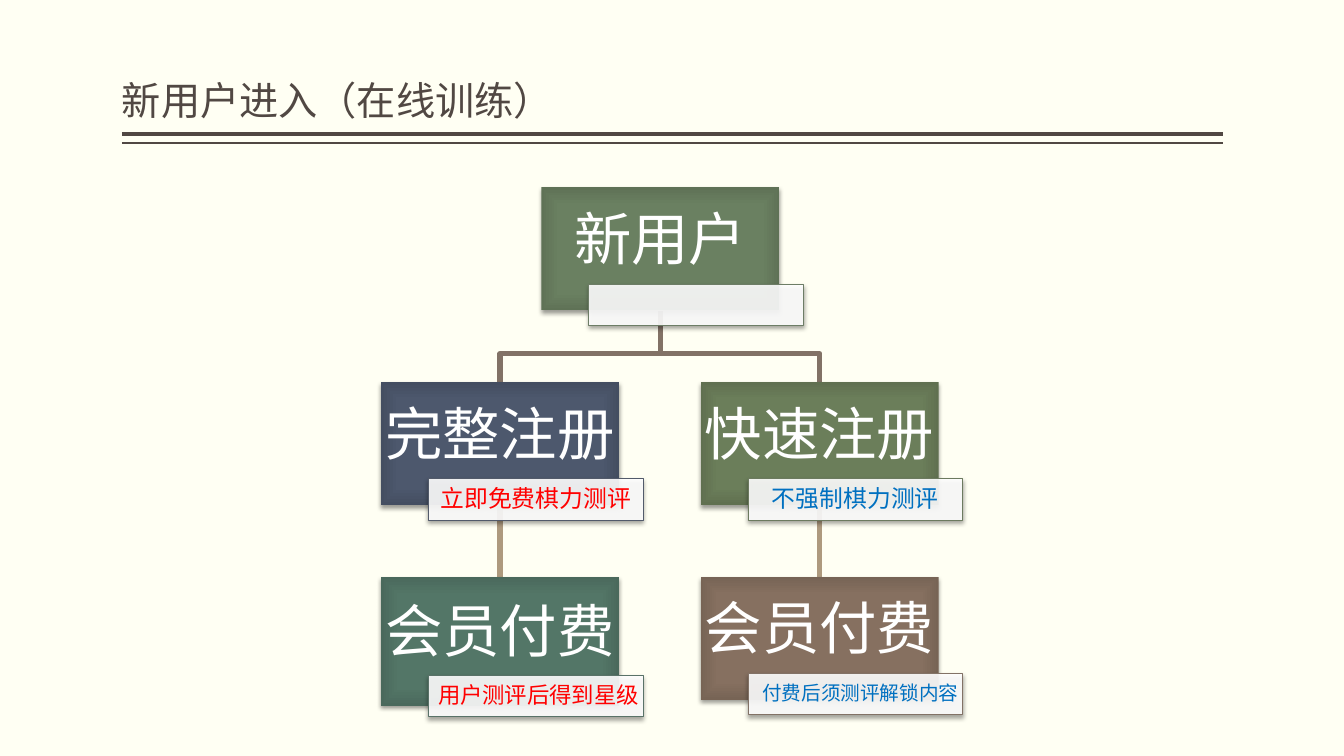
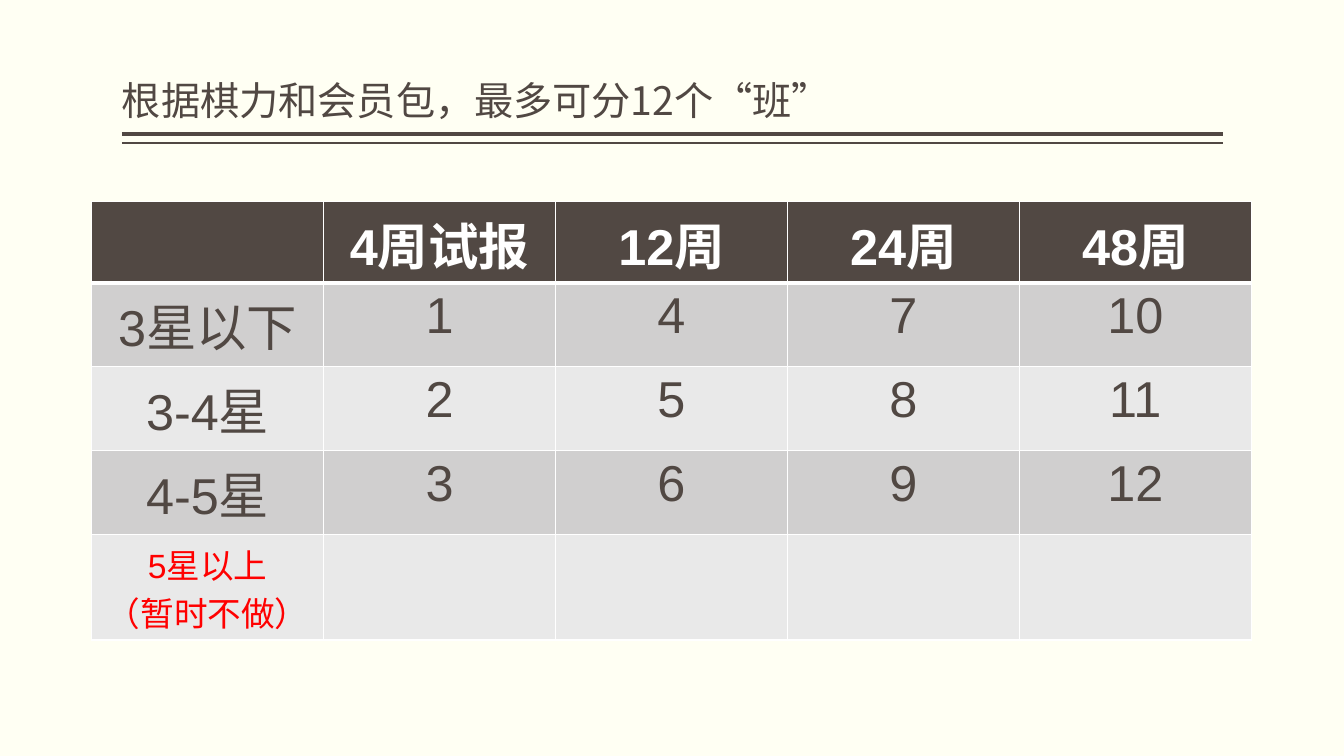
from pptx import Presentation
from pptx.dml.color import RGBColor
from pptx.enum.shapes import MSO_CONNECTOR, MSO_SHAPE
from pptx.enum.text import MSO_ANCHOR, PP_ALIGN
from pptx.oxml import parse_xml
from pptx.oxml.ns import nsdecls, qn
from pptx.util import Inches, Pt

COLORS = {
    "paper": "FFFFF3", "ink": "514843", "white": "FFFFFF",
    "red": "FF0000", "blue": "0070C0",
    "trunk": "827266", "branch": "AE9A7E",
    "band_dark": "D0CFCF", "band_light": "E9E9E9",
}
CJK_FONT = "Noto Sans CJK SC"
SPACE = nsdecls("a")
SHADOW = (f'<a:outerShdw {SPACE} blurRad="{Pt(3.1)}" dist="{Pt(2)}" dir="5400000" '
          'rotWithShape="0"><a:srgbClr val="000000"><a:alpha val="38000"/>'
          '</a:srgbClr></a:outerShdw>')


def color(name):
    return RGBColor.from_string(COLORS.get(name, name))


def write_text(frame, text, size, ink, font="Arial", bold=False,
               align=PP_ALIGN.CENTER, spacing=None, anchor=None, insets=None):
    if insets:
        frame.word_wrap = True
        frame.vertical_anchor = anchor
        (frame.margin_left, frame.margin_top,
         frame.margin_right, frame.margin_bottom) = [Inches(inset) for inset in insets]
    for index, line in enumerate(text.split("\n")):
        para = frame.paragraphs[0] if index == 0 else frame.add_paragraph()
        para.alignment = align
        para.line_spacing = spacing
        span = para.add_run()
        span.text = line
        span.font.size = Pt(size)
        span.font.bold = bold
        span.font.name = font
        span.font.color.rgb = color(ink)
        span.font._element.append(
            parse_xml(f'<a:ea {SPACE} typeface="{CJK_FONT}"/>'))


# Deck and shared background
deck = Presentation()
deck.slide_width, deck.slide_height = Inches(13.33), Inches(7.5)
backdrop = deck.slide_master.background.fill
backdrop.solid()
backdrop.fore_color.rgb = color("paper")

# Pages with title and double rule
pages = []
for title in ["新用户进入（在线训练）", "根据棋力和会员包，最多可分12个“班”"]:
    page = deck.slides.add_slide(deck.slide_layouts[6])
    pages.append(page)
    for y, width in [(1.33, 3), (1.42, 1)]:
        rule = page.shapes.add_connector(
            MSO_CONNECTOR.STRAIGHT, Inches(1.21), Inches(y), Inches(12.13), Inches(y))
        rule.line.color.rgb = color("ink")
        rule.line.width = Pt(width)
        rule._element.spPr.append(parse_xml(f"<a:effectLst {SPACE}/>"))
    title_box = page.shapes.add_textbox(Inches(1.21), Inches(0.08), Inches(10.92), Inches(1.2))
    write_text(title_box.text_frame, title, 28, "ink", font=CJK_FONT, align=PP_ALIGN.LEFT,
               spacing=0.9, anchor=MSO_ANCHOR.BOTTOM, insets=(0, 0.05, 0, 0.05))
flow_page, table_page = pages

# Flow chart: links behind the boxes
LEFT, MIDDLE, RIGHT = 3.78, 5.37, 6.95
BOX_WIDTH = 2.36
TOPS = [1.86, 3.79, 5.72]
root_x = MIDDLE + BOX_WIDTH / 2
for column in [RIGHT, LEFT]:
    x = column + BOX_WIDTH / 2
    link = flow_page.shapes.add_connector(
        MSO_CONNECTOR.STRAIGHT, Inches(x), Inches(5.02), Inches(x), Inches(TOPS[2]))
    link.line.color.rgb = color("branch")
    link.line.width = Pt(3.78)
    link._element.spPr.append(parse_xml(f"<a:effectLst {SPACE}/>"))
    outline = flow_page.shapes.build_freeform(Inches(root_x), Inches(3.09))
    corners = [(root_x, 3.51), (x, 3.51), (x, TOPS[1])]
    outline.add_line_segments([(Inches(a), Inches(b)) for a, b in corners], close=False)
    elbow = outline.convert_to_shape()
    elbow.fill.background()
    elbow.line.color.rgb = color("trunk")
    elbow.line.width = Pt(3.78)
    elbow.shadow.inherit = False

# Flow chart: boxes, each with a tag over its lower right corner
# left, top, height, label, gradient, tag top, tag text, size, ink, alignment, tag line
STEPS = [
    (MIDDLE, TOPS[0], 1.22, "新用户", ("6B8162", "6A8061", "5F7256"),
     2.82, "", 17, "ink", PP_ALIGN.CENTER, "6D7D66"),
    (LEFT, TOPS[1], 1.22, "完整注册", ("4E596E", "4D586D", "444E61"),
     4.75, "立即免费棋力测评", 17, "red", PP_ALIGN.CENTER, "525A6A"),
    (LEFT, TOPS[2], 1.28, "会员付费", ("547768", "537667", "4A695C"),
     6.7, "用户测评后得到星级", 16, "red", PP_ALIGN.RIGHT, "597268"),
    (RIGHT, TOPS[1], 1.22, "快速注册", ("6C7F5A", "6B7E5A", "607050"),
     4.75, "不强制棋力测评", 17, "blue", PP_ALIGN.CENTER, "6C7A5F"),
    (RIGHT, TOPS[2], 1.22, "会员付费", ("877161", "867060", "776455"),
     6.68, "付费后须测评解锁内容", 14, "blue", PP_ALIGN.RIGHT, "827266"),
]
for left, top, height, label, shades, tag_top, note, size, ink, align, edge in STEPS:
    box = flow_page.shapes.add_shape(
        MSO_SHAPE.RECTANGLE, Inches(left), Inches(top), Inches(BOX_WIDTH), Inches(height))
    box.fill.background()
    box.line.fill.background()
    stops = "".join(f'<a:gs pos="{spot}"><a:srgbClr val="{shade}"/></a:gs>'
                    for spot, shade in zip((0, 71000, 100000), shades))
    gradient = parse_xml(
        f'<a:gradFill {SPACE} rotWithShape="1"><a:gsLst>{stops}</a:gsLst><a:path path="rect">'
        '<a:fillToRect l="50000" t="50000" r="50000" b="50000"/></a:path></a:gradFill>')
    box_format = box._element.spPr
    box_format.replace(box_format.find(qn("a:noFill")), gradient)
    write_text(box.text_frame, label, 41, "white", spacing=0.9,
               anchor=MSO_ANCHOR.MIDDLE, insets=(0.03, 0.03, 0.03, 0.17))

    tag = flow_page.shapes.add_shape(
        MSO_SHAPE.RECTANGLE, Inches(left + 0.47), Inches(tag_top),
        Inches(2.13), Inches(0.41))
    tag.fill.solid()
    tag.fill.fore_color.rgb = color("white")
    tag._element.spPr.find(qn("a:solidFill"))[0].append(
        parse_xml(f'<a:alpha {SPACE} val="90000"/>'))
    tag.line.color.rgb = color(edge)
    tag.line.width = Pt(0.5)
    if note:
        write_text(tag.text_frame, note, size, ink, align=align, spacing=0.9,
                   anchor=MSO_ANCHOR.MIDDLE, insets=(0.04, 0.01, 0.04, 0.01))
    for shape in [box, tag]:
        shape.shadow.inherit = False
        shape._element.spPr.find(qn("a:effectLst")).append(parse_xml(SHADOW))

# Class table: periods across, star levels down
ROWS = [
    ["", "4周试报", "12周", "24周", "48周"],
    ["3星以下", "1", "4", "7", "10"],
    ["3-4星", "2", "5", "8", "11"],
    ["4-5星", "3", "6", "9", "12"],
    ["5星以上\n（暂时不做）", "", "", "", ""],
]
ROW_HEIGHTS = [0.81, 0.83, 0.83, 0.83, 1.05]
grid = table_page.shapes.add_table(
    5, 5, Inches(0.91), Inches(2), Inches(11.5), Inches(sum(ROW_HEIGHTS))).table
grid.horz_banding = False
for row_index, values in enumerate(ROWS):
    grid.rows[row_index].height = Inches(ROW_HEIGHTS[row_index])
    header, last = row_index == 0, row_index == len(ROWS) - 1
    band = "ink" if header else "band_dark" if row_index % 2 else "band_light"
    for column_index, value in enumerate(values):
        cell = grid.cell(row_index, column_index)
        cell.fill.solid()
        cell.fill.fore_color.rgb = color(band)
        if value:
            write_text(cell.text_frame, value, 24 if last else 36,
                       "white" if header else "red" if last else "ink", bold=header)
        thick_side = {0: "lnB", 1: "lnT"}.get(row_index)
        for position, side in enumerate(["lnL", "lnR", "lnT", "lnB"]):
            width = Pt(3 if side == thick_side else 1)
            cell._tc.get_or_add_tcPr().insert(position, parse_xml(
                f'<a:{side} {SPACE} w="{width}"><a:solidFill>'
                f'<a:srgbClr val="{COLORS["white"]}"/></a:solidFill></a:{side}>'))

deck.save("out.pptx")
